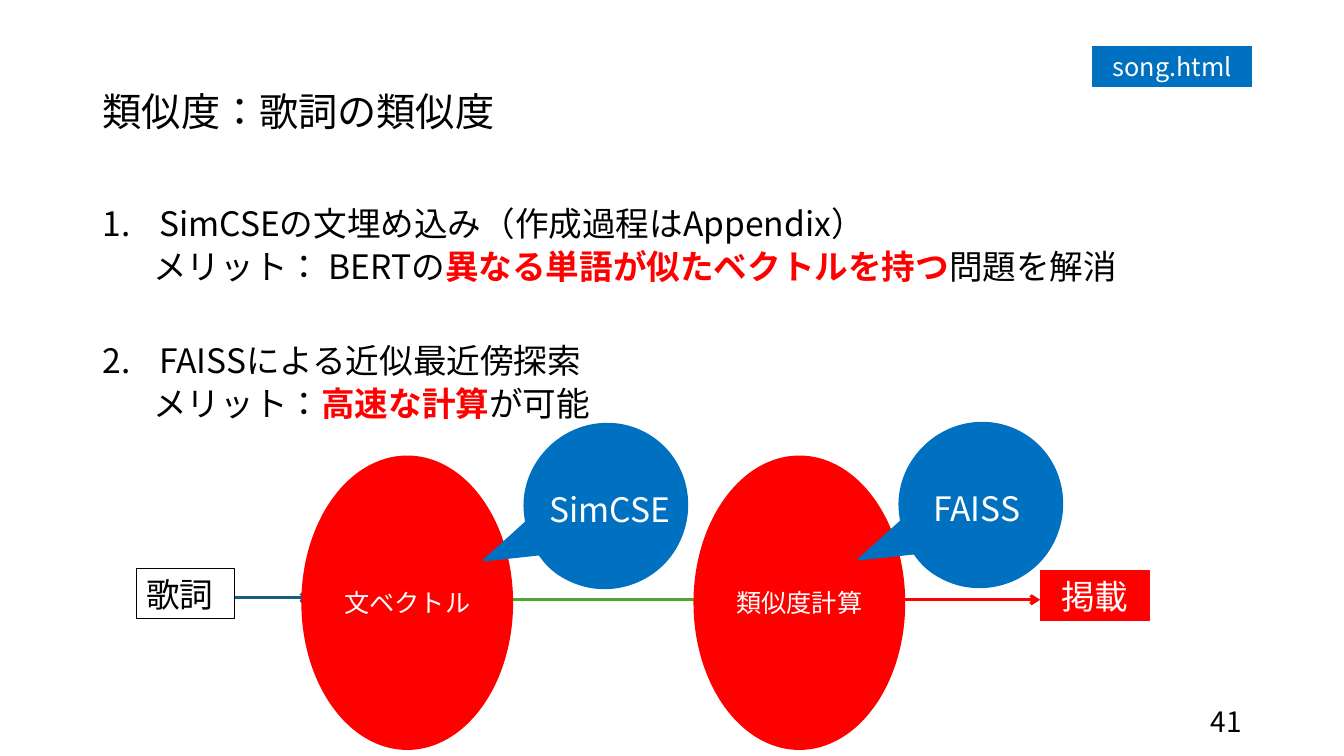
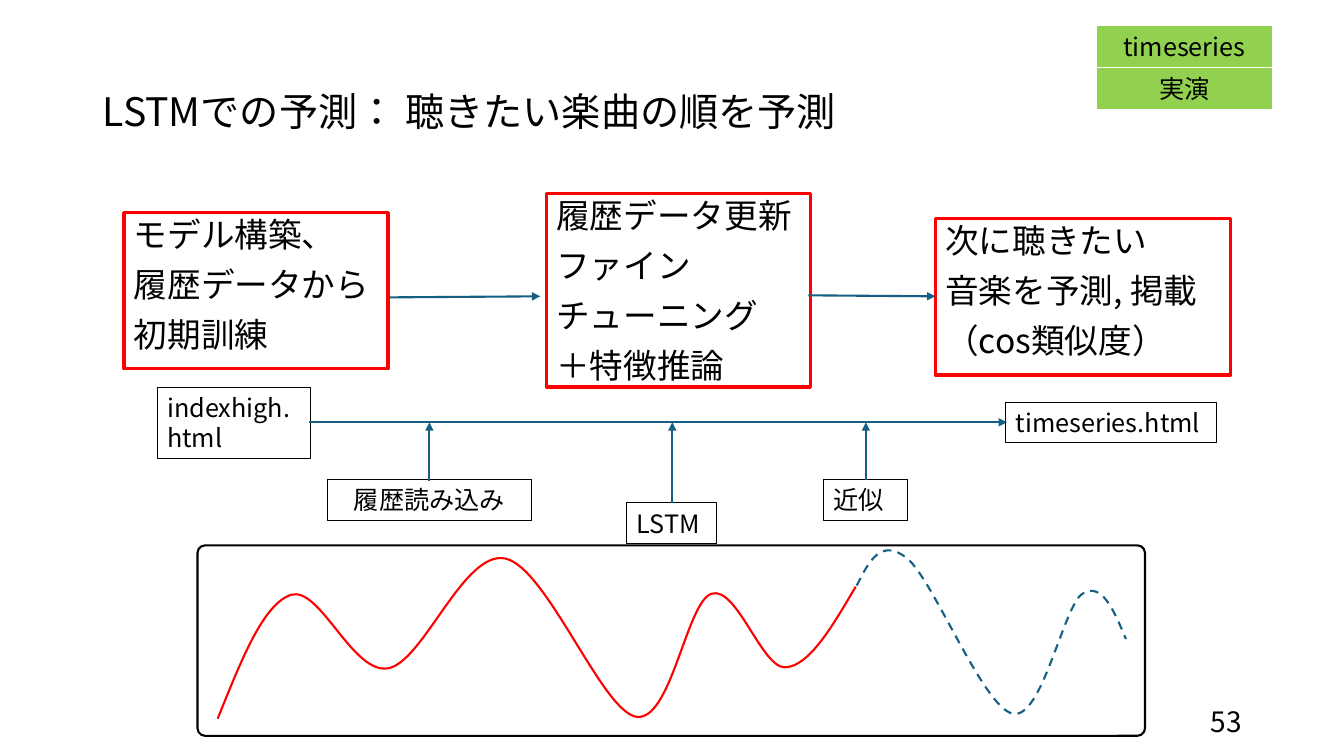
from dataclasses import dataclass
from typing import Any

from lxml import etree
from pptx import Presentation
from pptx.dml.color import RGBColor
from pptx.enum import dml, shapes, text
from pptx.oxml.ns import qn
from pptx.util import Inches, Pt

FONT = "Noto Sans CJK JP"
BLACK = "000000"
WHITE = "FFFFFF"
RED = "FF0000"
BLUE = "0070C0"
TEAL = "156082"
GREEN = "4EA72E"
LIME = "92D050"
LEFT = text.PP_ALIGN.LEFT
CENTER = text.PP_ALIGN.CENTER
RIGHT = text.PP_ALIGN.RIGHT
TOP = text.MSO_ANCHOR.TOP
MIDDLE = text.MSO_ANCHOR.MIDDLE
RECTANGLE = shapes.MSO_SHAPE.RECTANGLE
LINE_HEIGHT = 1.2
TIGHT = 1.08

Point = tuple[float, float]


@dataclass(frozen=True)
class Label:
    left: float
    top: float
    width: float
    height: float
    content: str = ""
    size: int = 18
    ink: str = BLACK
    fill: str | None = None
    line: str = BLACK
    weight: float = 0.75
    align: Any = LEFT


@dataclass(frozen=True)
class Arrow:
    start: Point
    end: Point
    color: str = TEAL
    weight: float = 1.5
    head: str = "triangle"


@dataclass(frozen=True)
class Outline:
    start: Point
    segments: list[tuple[Point, ...]]
    color: str
    fill: str | None = None
    closed: bool = False
    dashed: bool = False


BUBBLE = Outline((8.52, 5.55), [
    ((8.94, 5.17),),
    ((8.93, 5.1),),
    ((8.91, 4.94), (8.94, 4.78), (9.02, 4.63)),
    ((9.24, 4.23), (9.73, 4.08), (10.12, 4.29)),
    ((10.51, 4.5), (10.65, 4.99), (10.44, 5.39)),
    ((10.23, 5.79), (9.73, 5.94), (9.34, 5.73)),
    ((9.24, 5.68), (9.16, 5.61), (9.1, 5.53)),
    ((9.07, 5.49),),
], BLUE, BLUE, closed=True)


def rgb(color: str) -> RGBColor:
    return RGBColor.from_string(color)


def place(shape: Any, left: float, top: float, width: float, height: float) -> None:
    shape.left, shape.top = Inches(left), Inches(top)
    shape.width, shape.height = Inches(width), Inches(height)


def paint(shape: Any, fill: str | None, line: str, weight: float) -> None:
    shape.shadow.inherit = False
    if fill:
        shape.fill.solid()
        shape.fill.fore_color.rgb = rgb(fill)
    else:
        shape.fill.background()
    shape.line.color.rgb = rgb(line)
    shape.line.width = Pt(weight)


def prepare(frame: Any, anchor: Any = TOP) -> None:
    frame.auto_size = text.MSO_AUTO_SIZE.NONE
    frame.vertical_anchor = anchor
    frame.word_wrap = True


def write(frame: Any, content: str, *, size: int, color: str = BLACK, align: Any = LEFT,
          spacing: float = LINE_HEIGHT, before: float = 0, level: int = 0,
          margin: float = 0, hanging: float = 0, numbered: bool = False) -> None:
    paragraph = frame.add_paragraph() if frame.text else frame.paragraphs[0]
    paragraph.level = level
    paragraph.alignment = align
    paragraph.line_spacing = Pt(size * spacing)
    paragraph.space_before = Pt(before)
    properties = paragraph._p.get_or_add_pPr()
    properties.set("marL", str(Inches(margin)))
    properties.set("indent", str(-Inches(hanging)))
    if numbered:
        etree.SubElement(properties, qn("a:buFont"), typeface="+mj-lt")
        etree.SubElement(properties, qn("a:buAutoNum"), type="arabicPeriod")
    else:
        etree.SubElement(properties, qn("a:buNone"))
    for index, piece in enumerate(content.split("|")):
        emphasised = index % 2 == 1
        run = paragraph.add_run()
        run.text = piece
        run.font.size = Pt(size)
        run.font.bold = emphasised
        run.font.color.rgb = rgb(RED if emphasised else color)
        run.font.name = FONT
        run_properties = run._r.get_or_add_rPr()
        run_properties.set("lang", "ja-JP")
        etree.SubElement(run_properties, qn("a:ea"), typeface=FONT)


def write_steps(frame: Any, lines: list[str]) -> None:
    prepare(frame)
    for index, line in enumerate(lines):
        write(frame, line, size=24, spacing=TIGHT, before=10 if index else 0)


def add_label(slide: Any, label: Label, kind: Any = RECTANGLE, anchor: Any = TOP) -> Any:
    shape = slide.shapes.add_shape(kind, 0, 0, 0, 0)
    place(shape, label.left, label.top, label.width, label.height)
    paint(shape, label.fill, label.line, label.weight)
    prepare(shape.text_frame, anchor)
    if label.content:
        write(shape.text_frame, label.content, size=label.size, color=label.ink, align=label.align)
    return shape


def add_caption(slide: Any, label: Label, anchor: Any = TOP) -> None:
    box = slide.shapes.add_textbox(0, 0, 0, 0)
    place(box, label.left, label.top, label.width, label.height)
    prepare(box.text_frame, anchor)
    write(box.text_frame, label.content, size=label.size, color=label.ink, align=label.align)


def add_stage(slide: Any, left: float, content: str) -> None:
    label = Label(left, 4.53, 2.08, 2.9, content, 18, WHITE, RED, RED, 1.5, CENTER)
    shape = add_label(slide, label, shapes.MSO_SHAPE.OVAL, MIDDLE)
    shape.text_frame.margin_left = shape.text_frame.margin_right = 0


def add_arrow(slide: Any, arrow: Arrow) -> None:
    ends = [Inches(value) for value in (*arrow.start, *arrow.end)]
    connector = slide.shapes.add_connector(shapes.MSO_CONNECTOR.STRAIGHT, *ends)
    connector.line.color.rgb = rgb(arrow.color)
    connector.line.width = Pt(arrow.weight)
    etree.SubElement(connector.line._get_or_add_ln(), qn("a:tailEnd"), type=arrow.head)
    etree.SubElement(connector._element.spPr, qn("a:effectLst"))


def add_outline(slide: Any, outline: Outline, shift: Point = (0, 0)) -> None:
    def locate(point: Point) -> tuple[int, int]:
        return Inches(point[0] + shift[0]), Inches(point[1] + shift[1])

    builder = slide.shapes.build_freeform(*locate(outline.start))
    builder.add_line_segments([locate(segment[-1]) for segment in outline.segments], close=outline.closed)
    shape = builder.convert_to_shape()
    for element, segment in zip(list(shape._element.iter(qn("a:lnTo"))), outline.segments):
        if len(segment) == 3:
            element.tag = qn("a:cubicBezTo")
            for index, point in enumerate(segment[:2]):
                x, y = locate(point)
                control = etree.Element(qn("a:pt"), x=str(x - shape.left), y=str(y - shape.top))
                element.insert(index, control)
    paint(shape, outline.fill, outline.color, 1.5)
    if outline.dashed:
        shape.line.dash_style = dml.MSO_LINE.DASH


def start_slide(presentation: Any, title: str, number: int) -> tuple[Any, Any]:
    slide = presentation.slides.add_slide(presentation.slide_layouts[1])
    heading, body = slide.shapes.title, slide.placeholders[1]
    place(heading, 0.92, 0.4, 11.5, 1.45)
    prepare(heading.text_frame, MIDDLE)
    write(heading.text_frame, title, size=28, spacing=TIGHT)
    add_caption(slide, Label(9.42, 6.96, 3, 0.4, str(number), 20, align=RIGHT), MIDDLE)
    return slide, body


def build_similarity(presentation: Any) -> None:
    slide, body = start_slide(presentation, "類似度：歌詞の類似度", 41)
    place(body, 0.92, 2, 11.5, 2.73)
    prepare(body.text_frame)
    items = [
        ("SimCSEの文埋め込み（作成過程はAppendix）",
         "メリット： BERTの|異なる単語が似たベクトルを持つ|問題を解消"),
        ("FAISSによる近似最近傍探索", "メリット：|高速な計算|が可能"),
    ]
    for index, (item, merit) in enumerate(items):
        write(body.text_frame, item, size=24, spacing=TIGHT, before=41 if index else 0,
              margin=0.56, hanging=0.56, numbered=True)
        write(body.text_frame, merit, size=24, spacing=TIGHT, before=5, level=1, margin=0.5)
    for arrow in (
        Arrow((4.78, 5.95), (7.11, 5.95), GREEN, 2.25, "arrow"),
        Arrow((8.76, 5.95), (10.32, 5.95), RED, 2.25, "arrow"),
        Arrow((2.33, 5.93), (3.08, 5.93), TEAL, 2.25, "arrow"),
    ):
        add_arrow(slide, arrow)
    for label in (
        Label(10.84, 0.46, 1.58, 0.4, "song.html", 18, WHITE, BLUE, BLUE, align=CENTER),
        Label(10.32, 5.66, 1.08, 0.5, "掲載", 24, WHITE, RED, RED, align=CENTER),
        Label(1.35, 5.64, 0.98, 0.5, "歌詞", 24),
    ):
        add_label(slide, label)
    add_stage(slide, 3, "文ベクトル")
    add_stage(slide, 6.89, "類似度計算")
    for shift, caption in (
        ((0, 0), Label(8.92, 4.79, 1.54, 0.5, "FAISS", 24, WHITE, align=CENTER)),
        ((-3.72, 0.01), Label(5.21, 4.8, 1.68, 0.5, "SimCSE", 24, WHITE, align=CENTER)),
    ):
        add_outline(slide, BUBBLE, shift)
        add_caption(slide, caption)


def build_forecast(presentation: Any) -> None:
    slide, body = start_slide(presentation, "LSTMでの予測： 聴きたい楽曲の順を予測", 53)
    place(body, 5.42, 1.92, 2.62, 1.92)
    body.fill.solid()
    body.fill.fore_color.rgb = rgb(WHITE)
    body.line.color.rgb = rgb(RED)
    body.line.width = Pt(2.25)
    write_steps(body.text_frame, ["履歴データ更新", "ファイン", "チューニング", "＋特徴推論"])
    for left, top, width, lines in (
        (1.23, 2.11, 2.62, ["モデル構築、", "履歴データから", "初期訓練"]),
        (9.28, 2.17, 2.93, ["次に聴きたい", "音楽を予測, 掲載", "（cos類似度）"]),
    ):
        box = add_label(slide, Label(left, top, width, 1.55, line=RED, weight=2.25))
        write_steps(box.text_frame, lines)
    for label in (
        Label(10.89, 0.26, 1.72, 0.4, "timeseries", fill=LIME, line=LIME, align=CENTER),
        Label(10.89, 0.68, 1.72, 0.4, "実演", fill=LIME, line=LIME, align=CENTER),
        Label(1.56, 3.84, 1.52, 0.71, "indexhigh.html"),
        Label(9.98, 3.99, 2.09, 0.4, "timeseries.html"),
        Label(3.25, 4.76, 2.02, 0.4, "履歴読み込み", align=CENTER),
        Label(6.22, 4.99, 0.89, 0.4, "LSTM"),
        Label(8.17, 4.76, 0.83, 0.4, "近似"),
    ):
        add_label(slide, label)
    frame = add_label(slide, Label(1.96, 5.41, 9.4, 1.89, weight=1.5), shapes.MSO_SHAPE.ROUNDED_RECTANGLE)
    frame.adjustments[0] = 0.04
    for x, bottom in ((4.26, 4.77), (6.67, 4.99), (8.59, 4.76)):
        add_arrow(slide, Arrow((x, bottom), (x, 4.19)))
    add_arrow(slide, Arrow((3.07, 4.19), (9.99, 4.19)))
    add_arrow(slide, Arrow((3.87, 2.95), (5.36, 2.94)))
    add_arrow(slide, Arrow((8.02, 2.93), (9.28, 2.94)))
    add_outline(slide, Outline((2.16, 7.13), [
        ((2.39, 6.56), (2.61, 5.99), (2.89, 5.9)),
        ((3.18, 5.82), (3.5, 6.69), (3.85, 6.63)),
        ((4.2, 6.57), (4.6, 5.46), (5.01, 5.54)),
        ((5.42, 5.62), (5.97, 7.05), (6.31, 7.11)),
        ((6.66, 7.17), (6.81, 5.97), (7.06, 5.89)),
        ((7.31, 5.81), (7.56, 6.63), (7.79, 6.62)),
        ((8.03, 6.61), (8.26, 6.21), (8.49, 5.82)),
    ], RED))
    add_outline(slide, Outline((8.5, 5.81), [
        ((8.62, 5.57), (8.74, 5.33), (9, 5.54)),
        ((9.26, 5.75), (9.76, 7.03), (10.05, 7.08)),
        ((10.34, 7.14), (10.55, 6.01), (10.74, 5.89)),
        ((10.93, 5.77), (11.05, 6.05), (11.17, 6.34)),
    ], TEAL, dashed=True))


def main() -> None:
    presentation = Presentation()
    presentation.slide_width, presentation.slide_height = Inches(40) // 3, Inches(7.5)
    build_similarity(presentation)
    build_forecast(presentation)
    presentation.save("out.pptx")


if __name__ == "__main__":
    main()
